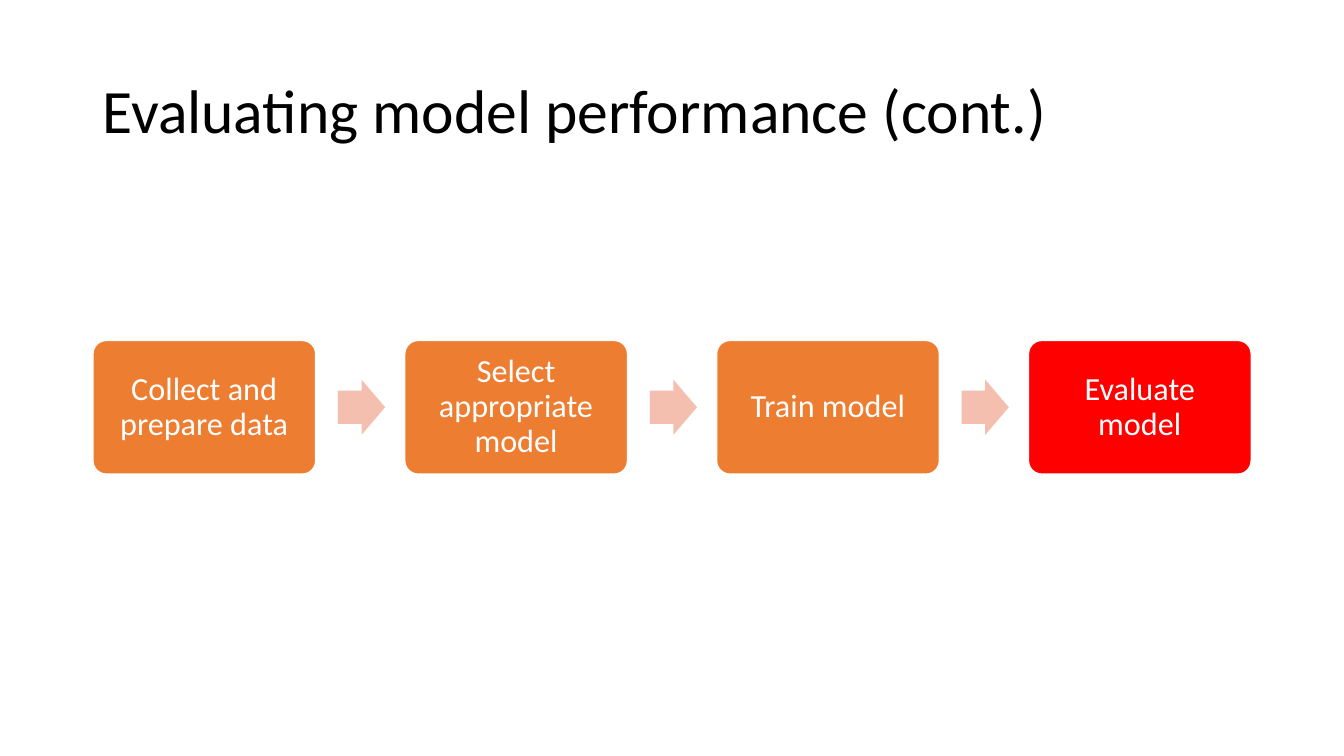
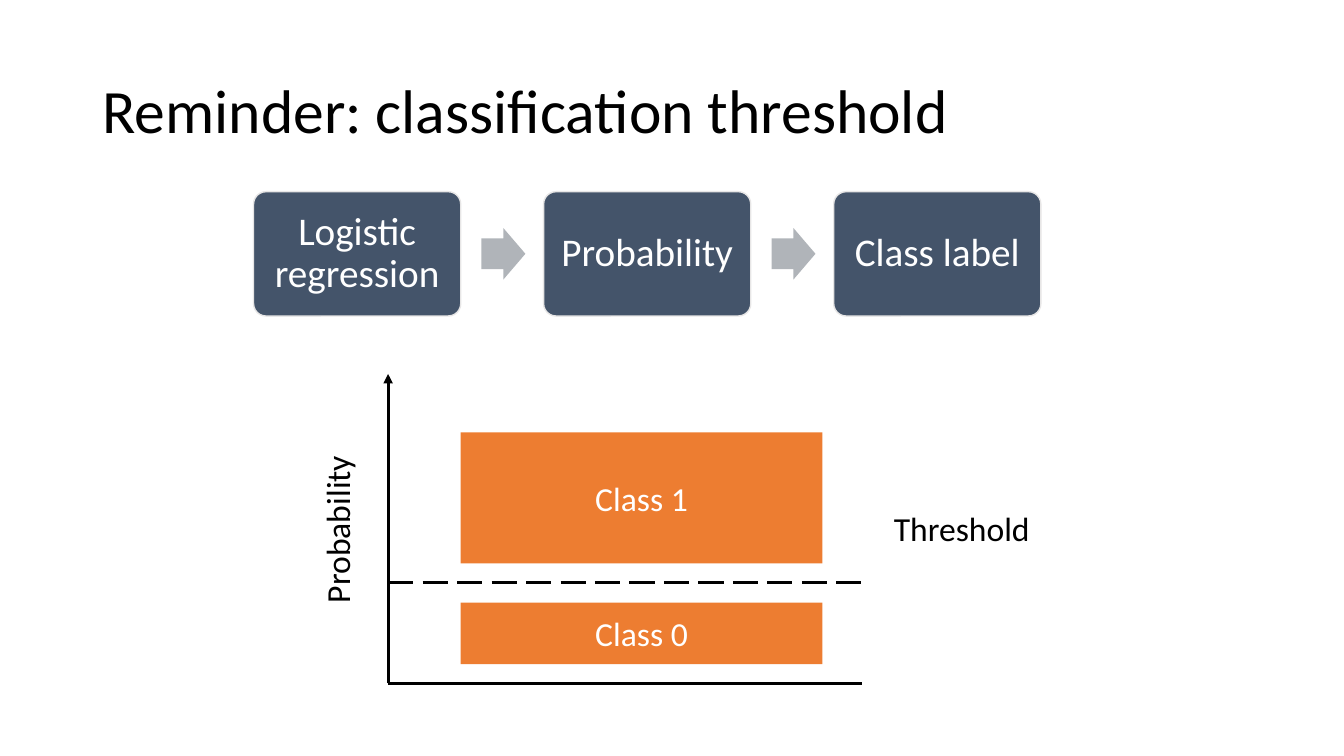
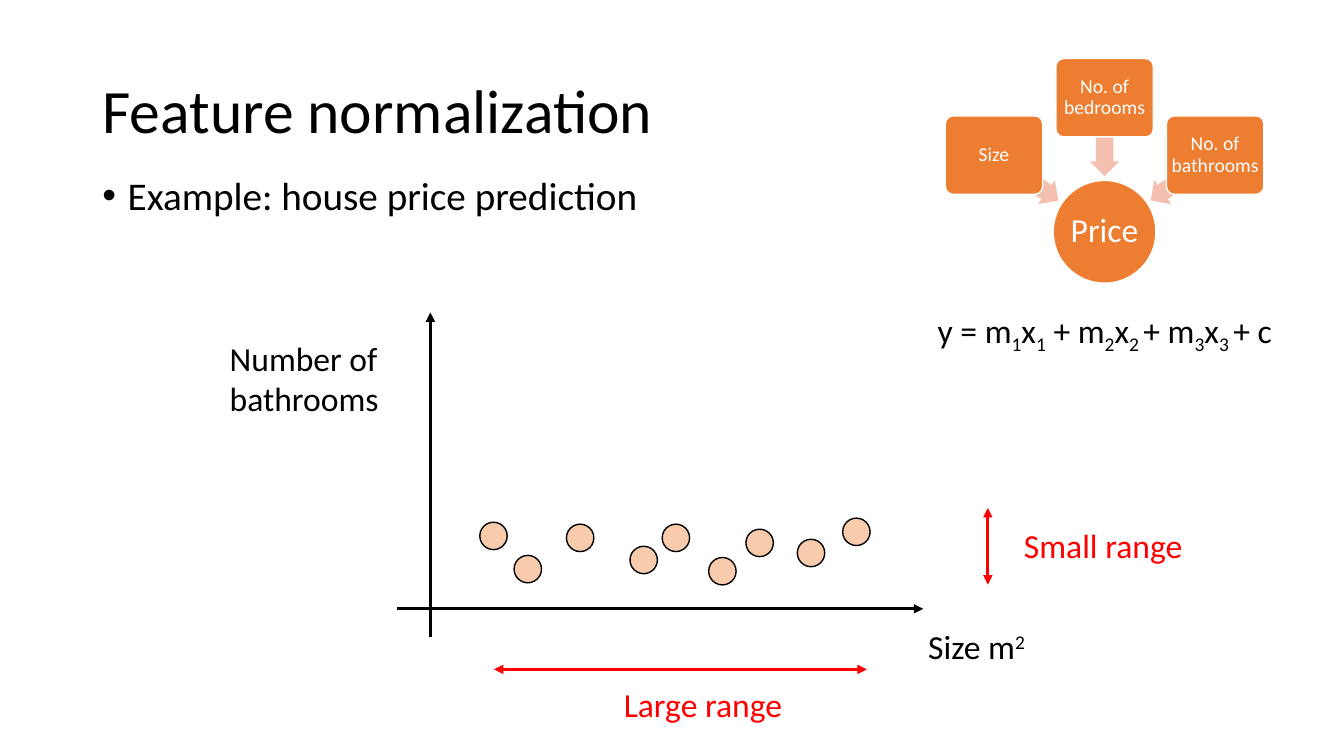
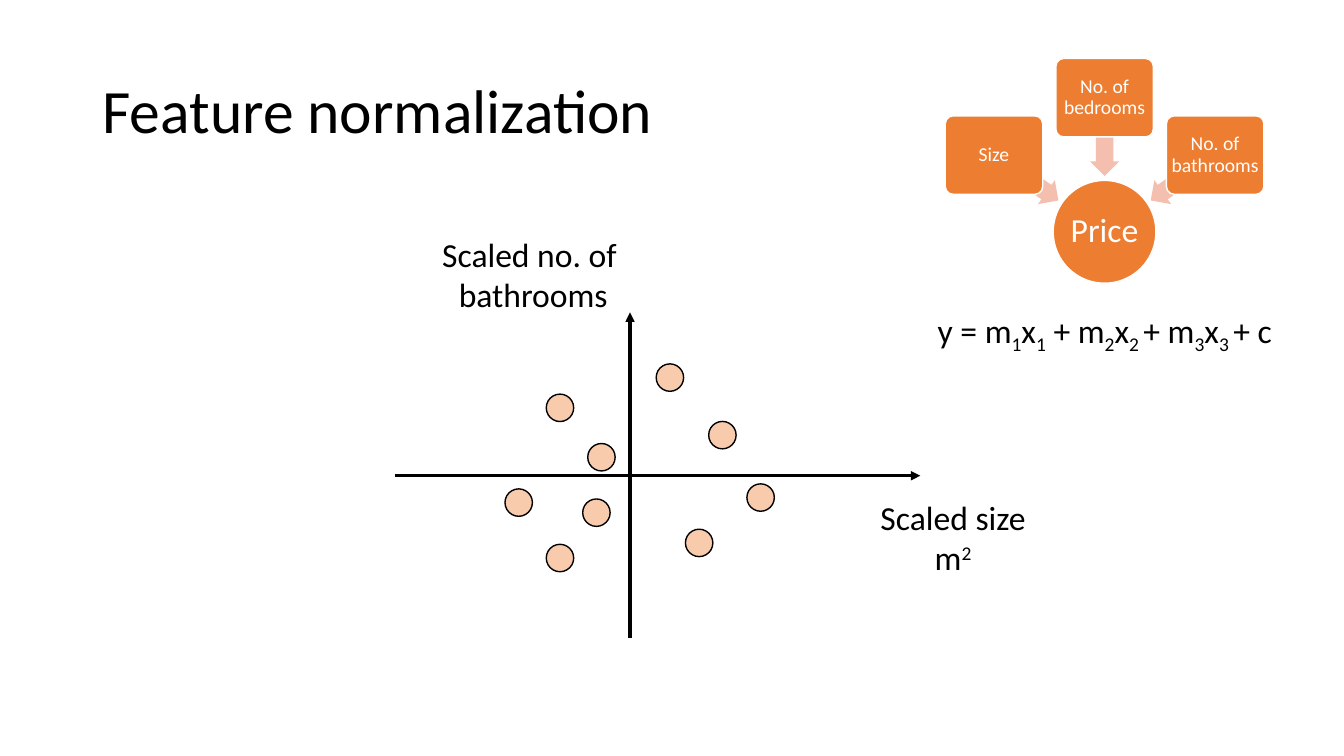
from lxml.etree import SubElement
from pptx import Presentation
from pptx.dml.color import RGBColor
from pptx.enum.dml import MSO_LINE
from pptx.enum.shapes import MSO_CONNECTOR, MSO_SHAPE as SHAPE
from pptx.enum.text import MSO_ANCHOR as ANCHOR, MSO_AUTO_SIZE, PP_ALIGN as ALIGN
from pptx.oxml.ns import qn
from pptx.util import Pt

BLACK = RGBColor(0x00, 0x00, 0x00)
WHITE = RGBColor(0xFF, 0xFF, 0xFF)
RED = RGBColor(0xFF, 0x00, 0x00)
ORANGE = RGBColor(0xED, 0x7D, 0x31)
SALMON = RGBColor(0xF4, 0xBF, 0xAE)
PEACH = RGBColor(0xF8, 0xCB, 0xAD)
NAVY = RGBColor(0x44, 0x54, 0x6A)
GRAY = RGBColor(0xB0, 0xB4, 0xB9)
PALE = RGBColor(0xE7, 0xE6, 0xE6)

FONT = "Calibri"
TITLE_ONLY, TITLE_AND_BODY = 5, 1
SUPERSCRIPT, SUBSCRIPT = "30000", "-25000"
DOT_SIZE = 19.6


def write(frame, text, size=24, color=BLACK, align=ALIGN.LEFT, anchor=ANCHOR.TOP,
          spacing=1.0, wrap=True, inset=None, shift=SUPERSCRIPT):
    """Fill a text frame; newlines part paragraphs, and text between bars is shifted."""
    frame.auto_size = MSO_AUTO_SIZE.NONE
    frame.word_wrap = wrap
    frame.vertical_anchor = anchor
    if inset is not None:
        frame.margin_left = frame.margin_right = Pt(inset)
        frame.margin_top = frame.margin_bottom = Pt(inset)
    for index, line in enumerate(text.split("\n")):
        para = frame.add_paragraph() if index else frame.paragraphs[0]
        para.alignment = align
        para.line_spacing = spacing
        for position, piece in enumerate(line.split("|")):
            span = para.add_run()
            span.text = piece
            span.font.name = FONT
            span.font.size = Pt(size)
            span.font.color.rgb = color
            if position % 2:
                span._r.get_or_add_rPr().set("baseline", shift)


def place(item, left, top, width, height):
    item.left, item.top, item.width, item.height = map(Pt, (left, top, width, height))


class SlideBuilder:
    """Holds the deck and the slide that is being filled."""

    def __init__(self):
        self.deck = Presentation()
        self.deck.slide_width, self.deck.slide_height = Pt(960), Pt(540)
        self.page = None

    def start(self, title, bullet=None):
        layout = TITLE_AND_BODY if bullet else TITLE_ONLY
        self.page = self.deck.slides.add_slide(self.deck.slide_layouts[layout])
        heading = self.page.shapes.title
        place(heading, 66, 28.8, 828, 104.4)
        write(heading.text_frame, title, size=44, anchor=ANCHOR.MIDDLE, spacing=0.9)
        if bullet:
            self.bullet(bullet)

    def bullet(self, text):
        body = self.page.placeholders[1]
        place(body, 66, 122.4, 828, 342.7)
        write(body.text_frame, text, size=28, spacing=0.9)
        para = body.text_frame.paragraphs[0]
        para.space_before = Pt(10)
        properties = para._p.get_or_add_pPr()
        properties.set("marL", str(Pt(18)))
        properties.set("indent", str(Pt(-18)))
        SubElement(properties, qn("a:buChar")).set("char", "•")

    def shape(self, kind, left, top, width, height, fill, line=None, adjust=(),
              turn=0, text=None, **style):
        box = self.page.shapes.add_shape(kind, Pt(left), Pt(top), Pt(width), Pt(height))
        box.shadow.inherit = False
        box.rotation = turn
        for index, value in enumerate(adjust):
            box.adjustments[index] = value
        box.fill.solid()
        box.fill.fore_color.rgb = fill
        if line is None:
            box.line.fill.background()
        else:
            box.line.color.rgb = line
            box.line.width = Pt(1)
        if text:
            write(box.text_frame, text, color=WHITE, align=ALIGN.CENTER,
                  anchor=ANCHOR.MIDDLE, **style)

    def card(self, text, left, top, width, height, fill=ORANGE, line=WHITE, **style):
        self.shape(SHAPE.ROUNDED_RECTANGLE, left, top, width, height, fill, line,
                   adjust=[0.1], text=text, spacing=0.9, **style)

    def block_arrow(self, kind, center_x, center_y, width, height, fill, turn=0):
        self.shape(kind, center_x - width / 2, center_y - height / 2, width, height,
                   fill, adjust=[0.6, 0.5], turn=turn)

    def label(self, text, left, top, width, height=36, turn=0, **style):
        box = self.page.shapes.add_textbox(Pt(left), Pt(top), Pt(width), Pt(height))
        box.rotation = turn
        write(box.text_frame, text, **style)

    def line(self, x1, y1, x2, y2, color=BLACK, dash=None, ends=()):
        """Draw a line; ends names the arrowheads, headEnd before tailEnd."""
        link = self.page.shapes.add_connector(
            MSO_CONNECTOR.STRAIGHT, Pt(x1), Pt(y1), Pt(x2), Pt(y2))
        link.line.color.rgb = color
        link.line.width = Pt(2.25)
        if dash:
            link.line.dash_style = dash
        for end in ends:
            SubElement(link.line._get_or_add_ln(), qn(f"a:{end}")).set("type", "triangle")
        SubElement(link._element.spPr, qn("a:effectLst"))

    def axis(self, x1, y1, x2, y2):
        self.line(x1, y1, x2, y2, ends=["tailEnd"])

    def range_arrow(self, x1, y1, x2, y2):
        self.line(x1, y1, x2, y2, color=RED, ends=["headEnd", "tailEnd"])

    def dots(self, corners):
        for left, top in corners:
            self.shape(SHAPE.OVAL, left, top, DOT_SIZE, DOT_SIZE, PEACH, BLACK)

    def process(self, steps, left, top, width, size, arrow_fill, line):
        """Draw a row of (text, fill) cards with arrows; all sizes follow the card width."""
        height = 0.6 * width
        for index, (text, fill) in enumerate(steps):
            x = left + index * 1.4 * width
            if index:
                self.block_arrow(SHAPE.RIGHT_ARROW, x - 0.194 * width, top + height / 2,
                                 0.212 * width, 0.248 * width, arrow_fill)
            self.card(text, x, top, width, height, fill, line, size=size, inset=10)

    def price_model(self):
        """Draw three features pointing at the price, with the formula below."""
        center, width, height, diameter = 789, 69.6, 56, 73.4
        features = ["Size", "No. of bedrooms", "No. of bathrooms"]
        self.shape(SHAPE.OVAL, center - diameter / 2, 128.9, diameter, diameter, ORANGE,
                   WHITE, text="Price", spacing=0.9, inset=1)
        for step, feature in enumerate(features, start=-1):
            self.block_arrow(SHAPE.LEFT_ARROW, center + 56 * step, 97.6 + 29.5 * abs(step),
                             56.2, 20.9, SALMON, turn=270 + 55 * step)
            self.card(feature, center + 79 * step - width / 2, 41.8 + 41 * abs(step),
                      width, height, size=14, inset=0)
        self.label("y = m|1|x|1| + m|2|x|2 |+ m|3|x|3 |+ c", 611.3, 212.4, 355.7, 50.4,
                   align=ALIGN.CENTER, anchor=ANCHOR.MIDDLE, shift=SUBSCRIPT)


def performance_slide(builder):
    builder.start("Evaluating model performance (cont.)")
    steps = [("Collect and prepare data", ORANGE), ("Select appropriate model", ORANGE),
             ("Train model", ORANGE), ("Evaluate model", RED)]
    builder.process(steps, 66.4, 243.2, 159.1, 23, SALMON, WHITE)


def threshold_slide(builder):
    builder.start("Reminder: classification threshold")
    left, right, bottom = 277.2, 615.6, 488.2
    builder.axis(left, bottom, left, 267.1)
    builder.line(left, bottom, right, bottom)
    builder.line(left, 416.2, right, 416.2, dash=MSO_LINE.LONG_DASH)
    builder.label("Probability", 180, 359.3, 121, turn=270)
    builder.label("Threshold", 631.4, 359.3, 112.3)
    for text, top, height in [("Class 0", 430.4, 43.9), ("Class 1", 308.9, 93.6)]:
        builder.shape(SHAPE.RECTANGLE, 329, top, 258.5, height, ORANGE, text=text)
    steps = [(text, NAVY) for text in ("Logistic regression", "Probability", "Class label")]
    builder.process(steps, 181.1, 136.9, 148, 28, GRAY, PALE)


def raw_features_slide(builder):
    builder.start("Feature normalization", bullet="Example: house price prediction")
    builder.range_arrow(705.6, 362.9, 705.6, 417.6)
    builder.range_arrow(352.8, 478.1, 619.2, 478.1)
    builder.axis(307.4, 455, 307.4, 223.2)
    builder.axis(283.7, 434.9, 659.5, 434.9)
    builder.dots([(342.7, 373), (601.9, 370.1), (506.2, 398.2), (367.2, 396.7),
                  (404.6, 374.4), (450, 390.2), (473, 374.4), (532.8, 378),
                  (569.5, 385.2)])
    builder.label("Number of\nbathrooms", 157, 237.6, 126.7, 65.5, wrap=False)
    builder.label("Size m|2", 655.9, 443.5, 85, wrap=False)
    builder.price_model()
    builder.label("Small range", 724.3, 371.5, 128.9, color=RED, wrap=False)
    builder.label("Large range", 438.5, 485.3, 128.9, color=RED, wrap=False)


def scaled_features_slide(builder):
    builder.start("Feature normalization")
    builder.axis(450, 455.8, 450, 223.2)
    builder.axis(282.2, 339.8, 657.4, 339.8)
    builder.dots([(419.8, 316.8), (533.5, 345.6), (360.7, 349.2), (390.2, 388.8),
                  (416.2, 356.4), (390.2, 281.5), (468.7, 259.9), (489.6, 378),
                  (506.2, 301)])
    builder.label("Scaled no. of \nbathrooms", 301.7, 163.4, 158.4, 65.5, align=ALIGN.CENTER)
    builder.label("Scaled size m|2", 611.3, 351.4, 139, 65.5, align=ALIGN.CENTER)
    builder.price_model()


def main():
    builder = SlideBuilder()
    performance_slide(builder)
    threshold_slide(builder)
    raw_features_slide(builder)
    scaled_features_slide(builder)
    builder.deck.save("out.pptx")


if __name__ == "__main__":
    main()
